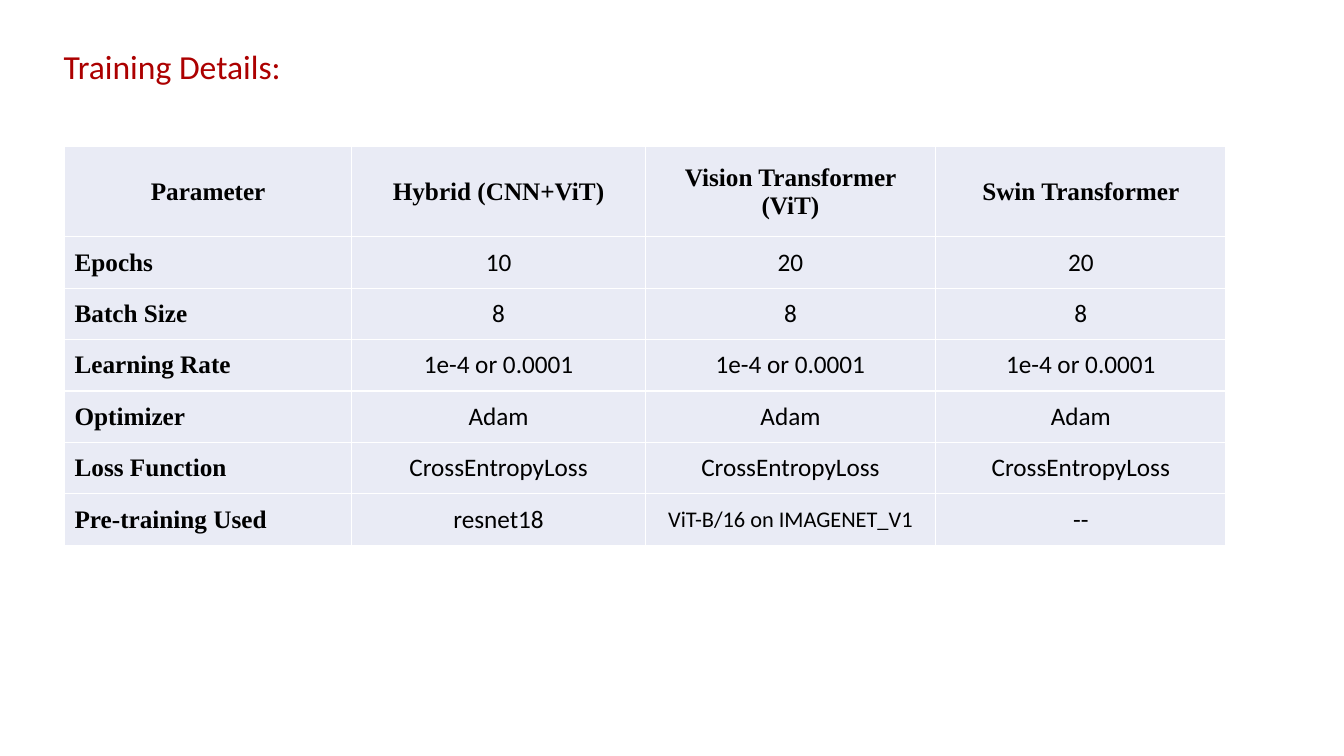
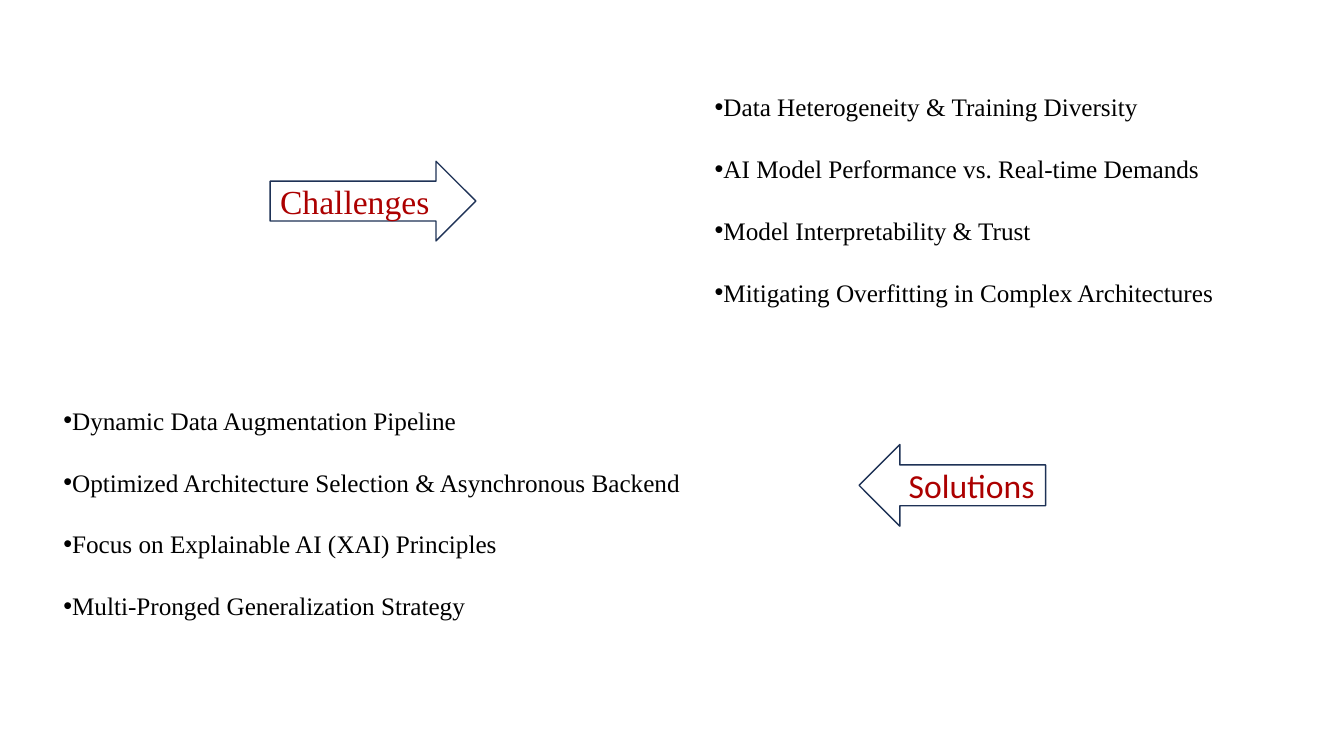
from dataclasses import dataclass

from lxml import etree
from pptx import Presentation
from pptx.dml.color import RGBColor
from pptx.enum.shapes import MSO_SHAPE
from pptx.enum.text import MSO_ANCHOR, MSO_AUTO_SIZE, PP_ALIGN
from pptx.oxml.ns import qn
from pptx.util import Pt

RIGHT_ARROW, LEFT_ARROW = MSO_SHAPE.RIGHT_ARROW, MSO_SHAPE.LEFT_ARROW
TOP, MIDDLE = MSO_ANCHOR.TOP, MSO_ANCHOR.MIDDLE
LEFT, CENTER = PP_ALIGN.LEFT, PP_ALIGN.CENTER
NO_AUTOFIT = MSO_AUTO_SIZE.NONE
EMU_PER_PX = 9144
TITLE_ONLY, BLANK = 5, 6


@dataclass(frozen=True)
class Theme:
    """Colours, fonts and type sizes of the deck."""
    accent: str = "AC0000"
    ink: str = "000000"
    cell: str = "E9EBF5"
    border: str = "FFFFFF"
    outline: str = "1E3256"
    sans: str = "Calibri"
    serif: str = "Times New Roman"
    heading: int = 24
    body: int = 18
    small: int = 16
    line: int = 1
    bullet_gap: float = 22.5


def px(length):
    """Turn whole px into EMU."""
    return length * EMU_PER_PX


def set_attributes(target, values):
    """Set every attribute named in a dict."""
    for name, value in values.items():
        setattr(target, name, value)


class Deck:
    """Holds the theme, the presentation and the current slide."""

    def __init__(self, theme):
        """Start an empty wide presentation."""
        self.theme = theme
        self.presentation = Presentation()
        set_attributes(self.presentation, {"slide_width": px(1333), "slide_height": px(750)})
        self.slide = None

    def add_slide(self, layout=BLANK):
        """Add a slide and make it current."""
        self.slide = self.presentation.slides.add_slide(self.presentation.slide_layouts[layout])

    def add_text(self, paragraph, text, color, align=LEFT, **font):
        """Add one formatted run to a paragraph."""
        paragraph.alignment = align
        run = paragraph.add_run()
        run.text = text
        set_attributes(run.font, font)
        run.font.color.rgb = RGBColor.from_string(color)

    def title(self, text, left, top, width, height):
        """Place and format the title placeholder."""
        shape = self.slide.shapes.title
        set_attributes(shape, {"left": px(left), "top": px(top),
                               "width": px(width), "height": px(height)})
        set_attributes(shape.text_frame, {"vertical_anchor": TOP, "auto_size": NO_AUTOFIT})
        self.add_text(shape.text_frame.paragraphs[0], text, self.theme.accent,
                      name=self.theme.sans, size=Pt(self.theme.heading))

    def arrow(self, kind, text, left, top, width, height, font, inset):
        """Draw an outlined block arrow with a label inside."""
        shape = self.slide.shapes.add_shape(kind, px(left), px(top), px(width), px(height))
        shape.shadow.inherit = False
        shape.fill.background()
        shape.line.color.rgb = RGBColor.from_string(self.theme.outline)
        shape.line.width = Pt(self.theme.line)
        set_attributes(shape.text_frame, {
            "word_wrap": True, "vertical_anchor": MIDDLE, "margin_left": px(inset),
            "margin_right": 0, "margin_top": 0, "margin_bottom": 0})
        self.add_text(shape.text_frame.paragraphs[0], text, self.theme.accent,
                      name=font, size=Pt(self.theme.heading))

    def bullets(self, items, left, top, width, height):
        """Add a bulleted list with even gaps."""
        frame = self.slide.shapes.add_textbox(px(left), px(top), px(width), px(height)).text_frame
        frame.word_wrap = True
        for index, item in enumerate(items):
            paragraph = frame.add_paragraph() if index else frame.paragraphs[0]
            properties = paragraph._p.get_or_add_pPr()
            etree.SubElement(properties, qn("a:buFont"), typeface="Arial")
            etree.SubElement(properties, qn("a:buChar"), char="•")
            paragraph.space_before = Pt(self.theme.bullet_gap if index else 0)
            self.add_text(paragraph, item, self.theme.ink,
                          name=self.theme.serif, size=Pt(self.theme.body))

    def table(self, rows, left, top, widths, heights, small_texts=()):
        """Add a table with bold headings along its top and left."""
        table = self.slide.shapes.add_table(
            len(rows), len(widths), px(left), px(top), px(sum(widths)), px(sum(heights))).table
        table.horz_banding = False
        for column, width in zip(table.columns, widths):
            column.width = px(width)
        for row, height in zip(table.rows, heights):
            row.height = px(height)
        for row_index, texts in enumerate(rows):
            for column_index, text in enumerate(texts):
                is_heading = row_index == 0 or column_index == 0
                cell = table.cell(row_index, column_index)
                self.style_cell(cell)
                self.add_text(
                    cell.text_frame.paragraphs[0], text, self.theme.ink,
                    align=LEFT if row_index and not column_index else CENTER,
                    name=self.theme.serif if is_heading else self.theme.sans,
                    size=Pt(self.theme.small if text in small_texts else self.theme.body),
                    bold=is_heading)

    def style_cell(self, cell):
        """Give a cell its borders, fill and anchor."""
        properties = cell._tc.get_or_add_tcPr()
        for side in ("a:lnL", "a:lnR", "a:lnT", "a:lnB"):
            line = etree.SubElement(properties, qn(side), w=str(Pt(self.theme.line)))
            fill = etree.SubElement(line, qn("a:solidFill"))
            etree.SubElement(fill, qn("a:srgbClr"), val=self.theme.border)
        cell.fill.solid()
        cell.fill.fore_color.rgb = RGBColor.from_string(self.theme.cell)
        cell.vertical_anchor = MIDDLE


def training_details(deck):
    """Build the table of training parameters."""
    pretrained = "ViT-B/16 on IMAGENET_V1"
    rows = [
        ["Parameter", "Hybrid (CNN+ViT)", "Vision Transformer (ViT)", "Swin Transformer"],
        ["Epochs", "10", "20", "20"],
        ["Batch Size"] + ["8"] * 3,
        ["Learning Rate"] + ["1e-4 or 0.0001"] * 3,
        ["Optimizer"] + ["Adam"] * 3,
        ["Loss Function"] + ["CrossEntropyLoss"] * 3,
        ["Pre-training Used", "resnet18", pretrained, "--"],
    ]
    deck.add_slide(TITLE_ONLY)
    deck.title("Training Details:", 53, 41, 479, 50)
    deck.table(rows, 64, 145, [285, 291, 288, 288], [90] + [51] * 6, [pretrained])


def challenges_and_solutions(deck):
    """Build the two arrows and their lists."""
    deck.add_slide()
    deck.arrow(RIGHT_ARROW, "Challenges", 268, 160, 204, 79, deck.theme.serif, 10)
    deck.bullets([
        "Data Heterogeneity & Training Diversity",
        "AI Model Performance vs. Real-time Demands",
        "Model Interpretability & Trust",
        "Mitigating Overfitting in Complex Architectures",
    ], 699, 86, 523, 222)
    deck.bullets([
        "Dynamic Data Augmentation Pipeline",
        "Optimized Architecture Selection & Asynchronous Backend",
        "Focus on Explainable AI (XAI) Principles",
        "Multi-Pronged Generalization Strategy",
    ], 53, 397, 700, 222)
    deck.arrow(LEFT_ARROW, "Solutions", 852, 441, 185, 81, deck.theme.sans, 29)


def main():
    """Build and save the deck."""
    deck = Deck(Theme())
    training_details(deck)
    challenges_and_solutions(deck)
    deck.presentation.save("out.pptx")


if __name__ == "__main__":
    main()
